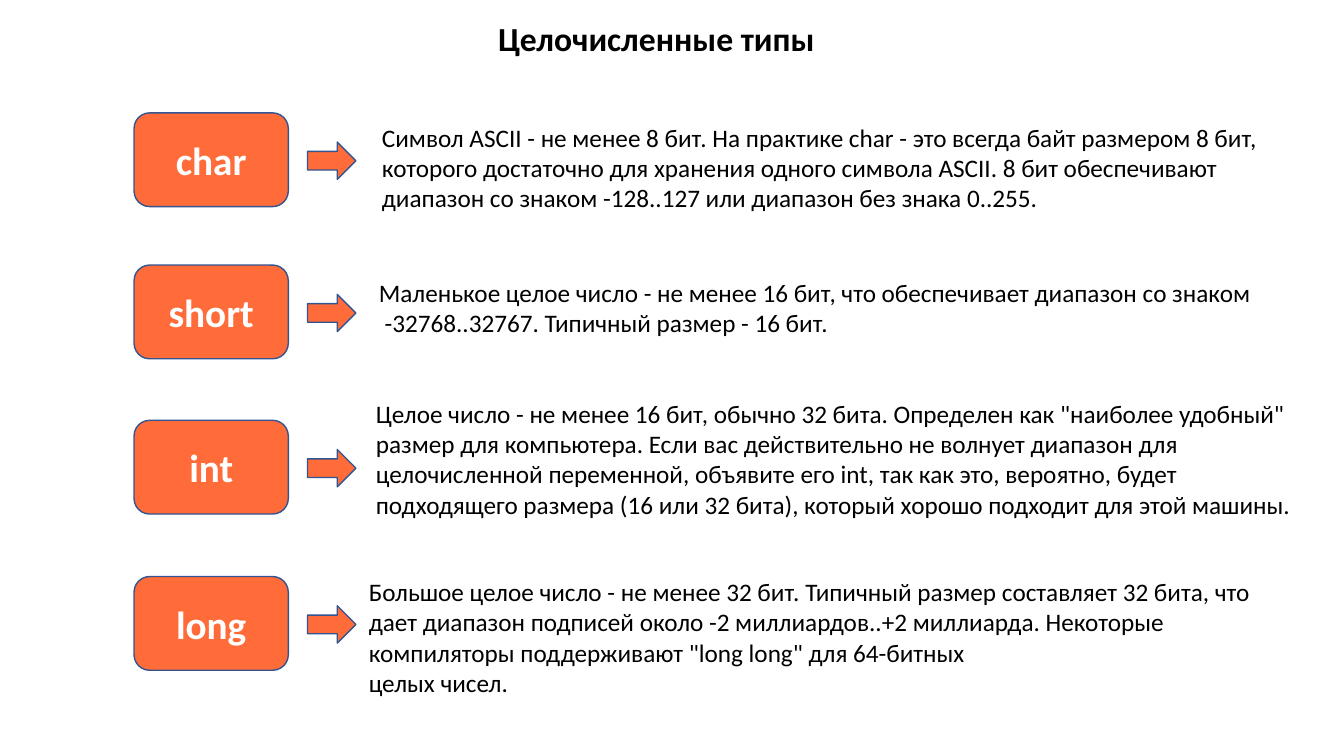
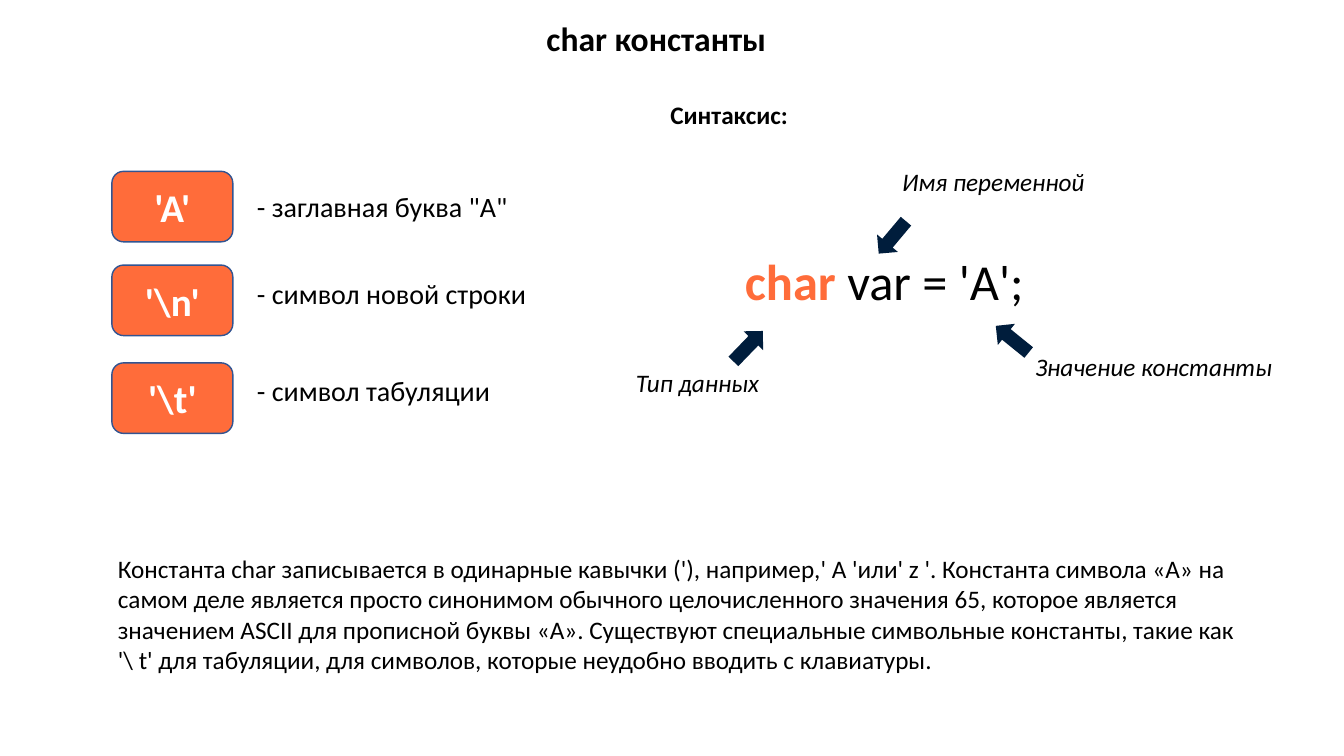
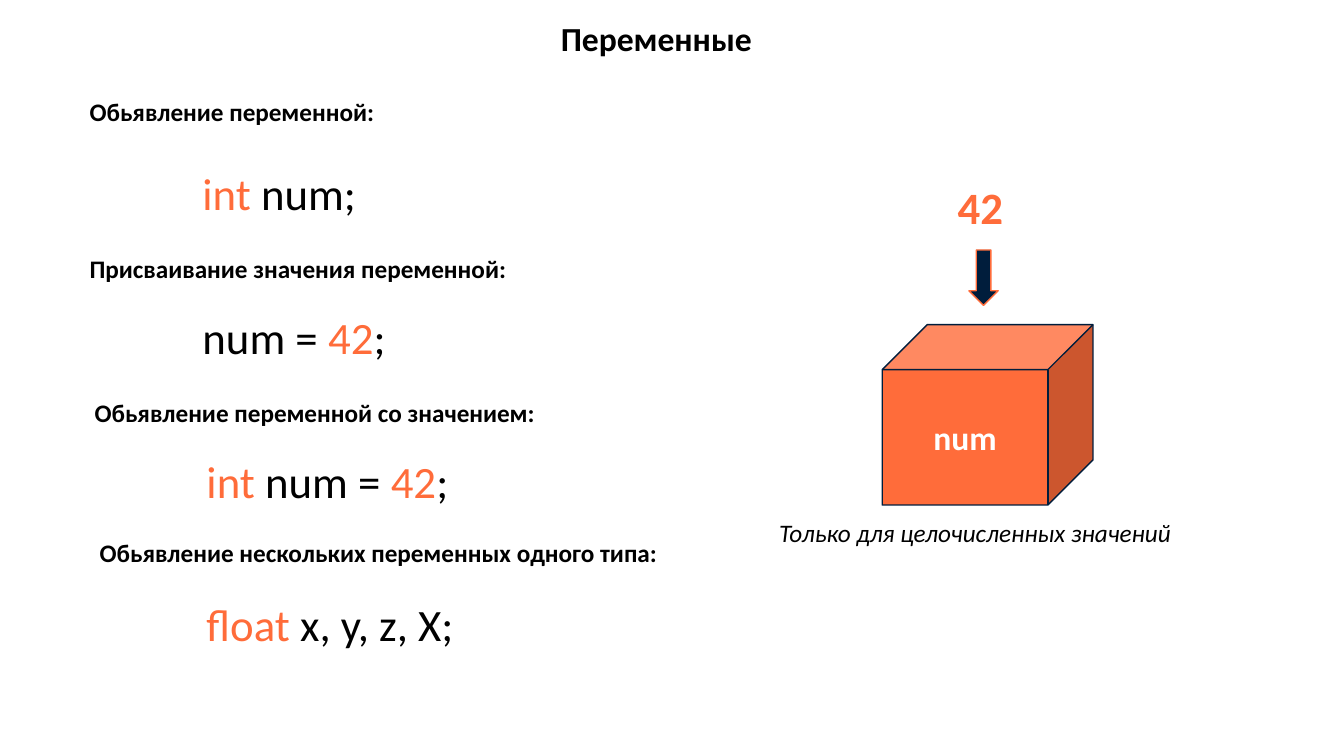
import pptx
import pptx.util
import pptx.dml.color
import pptx.enum.shapes
import pptx.enum.text

Inches = pptx.util.Inches
SHAPE = pptx.enum.shapes.MSO_SHAPE
ANCHOR = pptx.enum.text.MSO_ANCHOR
ALIGN = pptx.enum.text.PP_ALIGN
AUTO_SIZE = pptx.enum.text.MSO_AUTO_SIZE
FONT = "Calibri"
ORANGE, NAVY, BLUE = "FF6C3A", "001D3C", "325491"
BLACK, WHITE = "000000", "FFFFFF"


def rgb(value):
    """Turn a hex string into a colour."""
    return pptx.dml.color.RGBColor.from_string(value)


def write(tf, text, size=18, color=BLACK, bold=False, italic=False,
          align=ALIGN.LEFT, anchor=ANCHOR.TOP):
    """Fill a frame with lines of text, or with one line of (text, colour, bold) runs."""
    tf.word_wrap = True
    tf.auto_size = AUTO_SIZE.NONE
    tf.vertical_anchor = anchor
    if isinstance(text, str):
        lines = [[(line, color, bold)] for line in text.split("\n")]
    else:
        lines = [text]
    for i, runs in enumerate(lines):
        p = tf.add_paragraph() if i else tf.paragraphs[0]
        p.alignment = align
        for content, run_color, run_bold in runs:
            r = p.add_run()
            r.text = content
            r.font.name = FONT
            r.font.size = pptx.util.Pt(size)
            r.font.bold = run_bold
            r.font.italic = italic
            r.font.color.rgb = rgb(run_color)


class Deck:
    """Hold the presentation style and the current slide."""

    def __init__(self):
        """Start an empty widescreen presentation."""
        self.prs = pptx.Presentation()
        self.prs.slide_width = Inches(13.33)
        self.prs.slide_height = Inches(7.5)
        self.s = None

    def slide(self, title):
        """Add a slide with a centred title."""
        self.s = self.prs.slides.add_slide(self.prs.slide_layouts[5])
        sp = self.s.shapes.title
        sp.left, sp.top = Inches(1.95), Inches(0.13)
        sp.width, sp.height = Inches(9.12), Inches(0.5)
        write(sp.text_frame, title, size=24, bold=True, align=ALIGN.CENTER)

    def text(self, x, y, w, h, text, **style):
        """Add a text box."""
        sp = self.s.shapes.add_textbox(Inches(x), Inches(y), Inches(w), Inches(h))
        write(sp.text_frame, text, **style)

    def code(self, x, y, w, *runs, size=32):
        """Add a line of code from (text, colour, bold) runs."""
        self.text(x, y, w, 0.02 * size, runs, size=size)

    def shape(self, kind, x, y, w, h, fill=ORANGE, line=BLUE, rotation=0):
        """Add a flat preset shape."""
        sp = self.s.shapes.add_shape(kind, Inches(x), Inches(y), Inches(w), Inches(h))
        sp.shadow.inherit = False
        sp.rotation = rotation
        sp.fill.solid()
        sp.fill.fore_color.rgb = rgb(fill)
        if line:
            sp.line.color.rgb = rgb(line)
            sp.line.width = pptx.util.Pt(1)
        else:
            sp.line.fill.background()
        return sp

    def label(self, kind, x, y, w, h, text, size=28, **style):
        """Add a shape with centred bold white text."""
        sp = self.shape(kind, x, y, w, h, **style)
        write(sp.text_frame, text, size=size, color=WHITE, bold=True,
              align=ALIGN.CENTER, anchor=ANCHOR.MIDDLE)


def integer_types(deck):
    """Build the slide on integer types."""
    deck.slide("Целочисленные типы")
    rows = [
        ("char", 1.12, 3.69, 1.16, 9.2, 1.01,
         "Символ ASCII - не менее 8 бит. На практике char - это всегда байт размером 8 бит, "
         "которого достаточно для хранения одного символа ASCII. 8 бит обеспечивают "
         "диапазон со знаком -128..127 или диапазон без знака 0..255."),
        ("short", 2.63, 3.66, 2.7, 9.2, 0.71,
         "Маленькое целое число - не менее 16 бит, что обеспечивает диапазон со знаком\n"
         " -32768..32767. Типичный размер - 16 бит."),
        ("int", 4.17, 3.63, 3.9, 9.34, 1.31,
         "Целое число - не менее 16 бит, обычно 32 бита. Определен как \"наиболее удобный\" "
         "размер для компьютера. Если вас действительно не волнует диапазон для "
         "целочисленной переменной, объявите его int, так как это, вероятно, будет "
         "подходящего размера (16 или 32 бита), который хорошо подходит для этой машины."),
        ("long", 5.72, 3.56, 5.67, 9.24, 1.31,
         "Большое целое число - не менее 32 бит. Типичный размер составляет 32 бита, что "
         "дает диапазон подписей около -2 миллиардов..+2 миллиарда. Некоторые "
         "компиляторы поддерживают \"long long\" для 64-битных\nцелых чисел."),
    ]
    for name, top, x, y, w, h, description in rows:
        deck.label(SHAPE.ROUNDED_RECTANGLE, 1.33, top, 1.53, 0.93, name)
        deck.shape(SHAPE.RIGHT_ARROW, 3.05, top + 0.29, 0.48, 0.37)
        deck.text(x, y, w, h, description)


def char_constants(deck):
    """Build the slide on char constants."""
    deck.slide("char константы")
    deck.text(1.07, 5.44, 11.55, 1.62,
              "Константа char записывается в одинарные кавычки ('), например,' A 'или' z '. "
              "Константа символа «A» на самом деле является просто синонимом обычного "
              "целочисленного значения 65, которое является значением ASCII для прописной "
              "буквы «A». Существуют специальные символьные константы, такие как\n"
              "'\\ t' для табуляции, для символов, которые неудобно вводить с клавиатуры.")
    constants = [
        ("'A'", 1.7, 1.83, "- заглавная буква \"A\""),
        (r"'\n'", 2.63, 2.69, "- символ новой строки"),
        (r"'\t'", 3.6, 3.66, "- символ табуляции"),
    ]
    for constant, top, y, meaning in constants:
        deck.label(SHAPE.ROUNDED_RECTANGLE, 1.11, top, 1.2, 0.7, constant)
        deck.text(2.45, y, 3, 0.44, meaning, size=20)
    deck.text(6.55, 0.94, 6.18, 0.4, "Синтаксис:", bold=True)
    deck.code(7.29, 2.43, 3, ("char ", ORANGE, True), ("var = 'A';", BLACK, False), size=36)
    callouts = [
        ("Тип данных", 6.21, 3.59, 7.21, 3.3, 314),
        ("Имя переменной", 8.85, 1.6, 8.64, 2.22, 130),
        ("Значение константы", 10.17, 3.44, 9.83, 3.23, 219),
    ]
    for caption, x, y, arrow_x, arrow_y, angle in callouts:
        deck.shape(SHAPE.RIGHT_ARROW, arrow_x, arrow_y, 0.42, 0.27,
                   fill=NAVY, line=None, rotation=angle)
        deck.text(x, y, 3, 0.4, caption, italic=True)


def variables(deck):
    """Build the slide on variables."""
    deck.slide("Переменные")
    int_word, float_word = ("int ", ORANGE, False), ("float ", ORANGE, False)
    assignment = [("num = ", BLACK, False), ("42", ORANGE, False), (";", BLACK, False)]
    examples = [
        ("Обьявление переменной:", 0.79, 0.91, 1.91, 1.59,
         [int_word, ("num;", BLACK, False)]),
        ("Присваивание значения переменной:", 0.79, 2.46, 1.91, 3.02, assignment),
        ("Обьявление переменной со значением:", 0.84, 3.89, 1.95, 4.45,
         [int_word] + assignment),
        ("Обьявление нескольких переменных одного типа:", 0.89, 5.28, 1.95, 5.87,
         [float_word, ("x, y, z, X;", BLACK, False)]),
    ]
    for heading, x, y, code_x, code_y, runs in examples:
        deck.text(x, y, 6.44, 0.4, heading, bold=True)
        deck.code(code_x, code_y, 2.73, *runs)
    deck.label(SHAPE.CUBE, 8.75, 3.22, 2.09, 1.79, "num", size=24, line=NAVY)
    deck.text(7.63, 5.08, 4.53, 0.4, "Только для целочисленных значений", italic=True)
    deck.code(9.4, 1.73, 3, ("42", ORANGE, True))
    deck.shape(SHAPE.DOWN_ARROW, 9.61, 2.48, 0.29, 0.55, fill=NAVY, line=ORANGE)


def main():
    """Build and save the slides."""
    deck = Deck()
    integer_types(deck)
    char_constants(deck)
    variables(deck)
    deck.prs.save("out.pptx")


if __name__ == "__main__":
    main()
